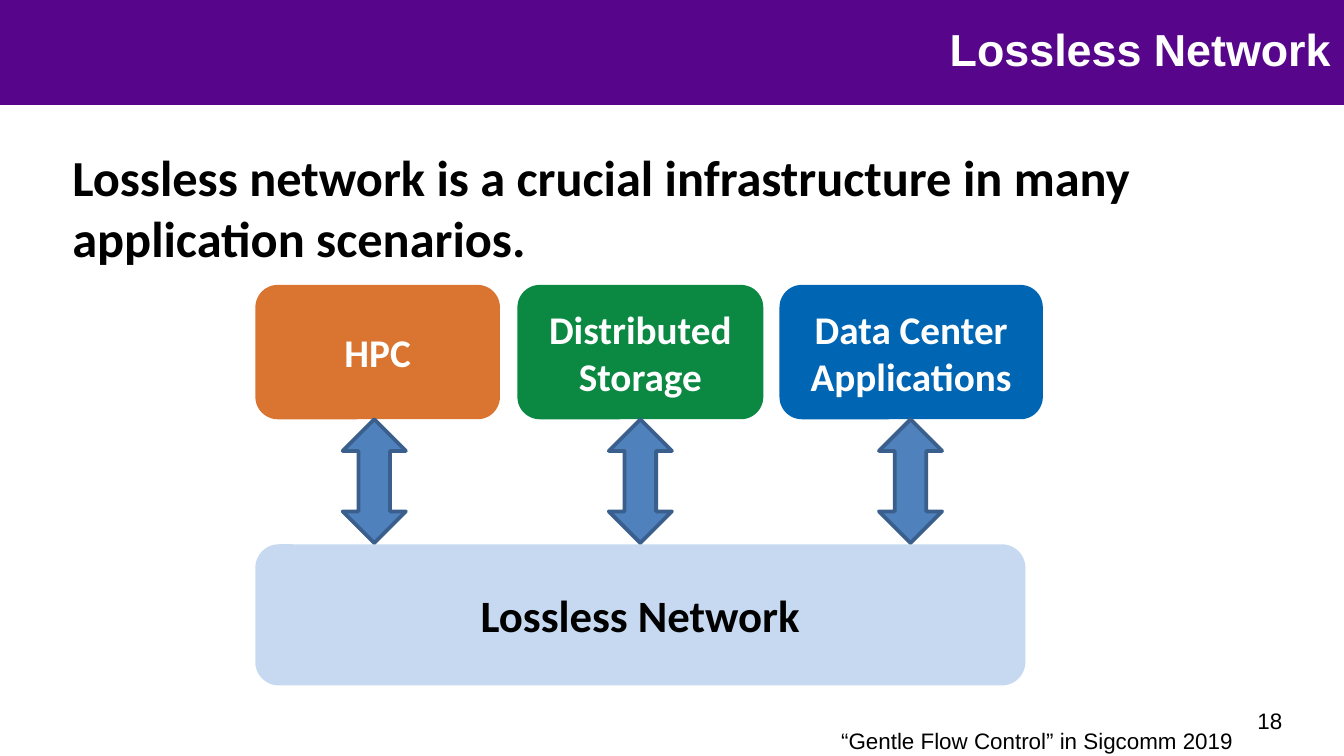
from dataclasses import dataclass

from pptx import Presentation
from pptx.dml.color import RGBColor
from pptx.enum.shapes import MSO_SHAPE
from pptx.enum.text import MSO_ANCHOR, PP_ALIGN
from pptx.util import Inches, Pt

RECTANGLE = MSO_SHAPE.RECTANGLE
ROUNDED = MSO_SHAPE.ROUNDED_RECTANGLE
DOUBLE_ARROW = MSO_SHAPE.UP_DOWN_ARROW
LEFT, CENTER, RIGHT = PP_ALIGN.LEFT, PP_ALIGN.CENTER, PP_ALIGN.RIGHT
MIDDLE = MSO_ANCHOR.MIDDLE


@dataclass(frozen=True)
class Theme:
    """Colours, fonts and type sizes of the slide."""
    banner: str = "57068C"
    white: str = "FFFFFF"
    black: str = "000000"
    network: str = "C6D9F1"
    hpc: str = "DA7431"
    storage: str = "0B8842"
    data_center: str = "0066B3"
    arrow: str = "4F81BD"
    arrow_line: str = "3A5F8C"
    heading_font: str = "Arial"
    body_font: str = "Calibri"
    title_size: int = 24
    statement_size: int = 27
    application_size: int = 21
    small_size: int = 12


THEME = Theme()


def write_text(shape, text, font, size, color, bold=False, align=LEFT):
    """Put text into a shape and format every paragraph alike."""
    shape.text_frame.text = text
    for paragraph in shape.text_frame.paragraphs:
        paragraph.alignment = align
        for run in paragraph.runs:
            run.font.name = font
            run.font.size = Pt(size)
            run.font.bold = bold
            run.font.color.rgb = RGBColor.from_string(color)


def add_text(slide, box, text, font, size, color, bold=False, align=LEFT, wrap=True):
    """Add a text box and return it."""
    shape = slide.shapes.add_textbox(*map(Inches, box))
    shape.text_frame.word_wrap = wrap
    write_text(shape, text, font, size, color, bold, align)
    return shape


def add_block(slide, kind, box, fill, line=None):
    """Add a filled preset shape, outlined only when a line colour is given."""
    shape = slide.shapes.add_shape(kind, *map(Inches, box))
    shape.shadow.inherit = False
    shape.fill.solid()
    shape.fill.fore_color.rgb = RGBColor.from_string(fill)
    if line:
        shape.line.color.rgb = RGBColor.from_string(line)
        shape.line.width = Pt(2)
    else:
        shape.line.fill.background()
    return shape


def add_labelled_block(slide, box, fill, text, size, color):
    """Add a rounded block with a bold centred label."""
    shape = add_block(slide, ROUNDED, box, fill)
    shape.text_frame.word_wrap = True
    shape.text_frame.vertical_anchor = MIDDLE
    write_text(shape, text, THEME.body_font, size, color, True, CENTER)


def add_header(slide):
    """Add the banner, the title and the opening statement."""
    add_block(slide, RECTANGLE, (0, 0, 10.01, 0.78), THEME.banner)
    add_text(slide, (6.94, 0.11, 3.06, 0.5), "Lossless Network",
             THEME.heading_font, THEME.title_size, THEME.white, True, RIGHT, False)
    add_text(slide, (0.44, 1.04, 9.1, 1.01),
             "Lossless network is a crucial infrastructure in many application scenarios.",
             THEME.body_font, THEME.statement_size, THEME.black, True)


def add_diagram(slide):
    """Add the network, the applications above it and the arrows between."""
    add_labelled_block(slide, (1.9, 4.05, 5.73, 1.05), THEME.network,
                       "Lossless Network", THEME.title_size, THEME.black)
    applications = (
        ("HPC", THEME.hpc, 1.9, 1.82, 2.55),
        ("Distributed\nStorage", THEME.storage, 3.85, 1.83, 4.53),
        ("Data Center\nApplications", THEME.data_center, 5.8, 1.96, 6.54),
    )
    for label, fill, left, width, arrow_left in applications:
        add_labelled_block(slide, (left, 2.12, width, 1), fill, label,
                           THEME.application_size, THEME.white)
        add_block(slide, DOUBLE_ARROW, (arrow_left, 3.12, 0.47, 0.92),
                  THEME.arrow, THEME.arrow_line)


def add_footer(slide):
    """Add the citation and the slide number."""
    citation = add_text(slide, (6.16, 5.26, 3.19, 0.37),
                        "“Gentle Flow Control” in Sigcomm 2019",
                        THEME.heading_font, THEME.small_size, THEME.black, wrap=False)
    citation.text_frame.paragraphs[0].line_spacing = 1.5
    add_text(slide, (7.31, 5.21, 2.33, 0.3), "18", THEME.heading_font,
             THEME.small_size, THEME.black, align=RIGHT)


def main():
    """Build the widescreen slide and save it."""
    presentation = Presentation()
    presentation.slide_width = Inches(10)
    presentation.slide_height = Inches(10) * 9 // 16
    slide = presentation.slides.add_slide(presentation.slide_layouts[6])
    add_header(slide)
    add_diagram(slide)
    add_footer(slide)
    presentation.save("out.pptx")


if __name__ == "__main__":
    main()
